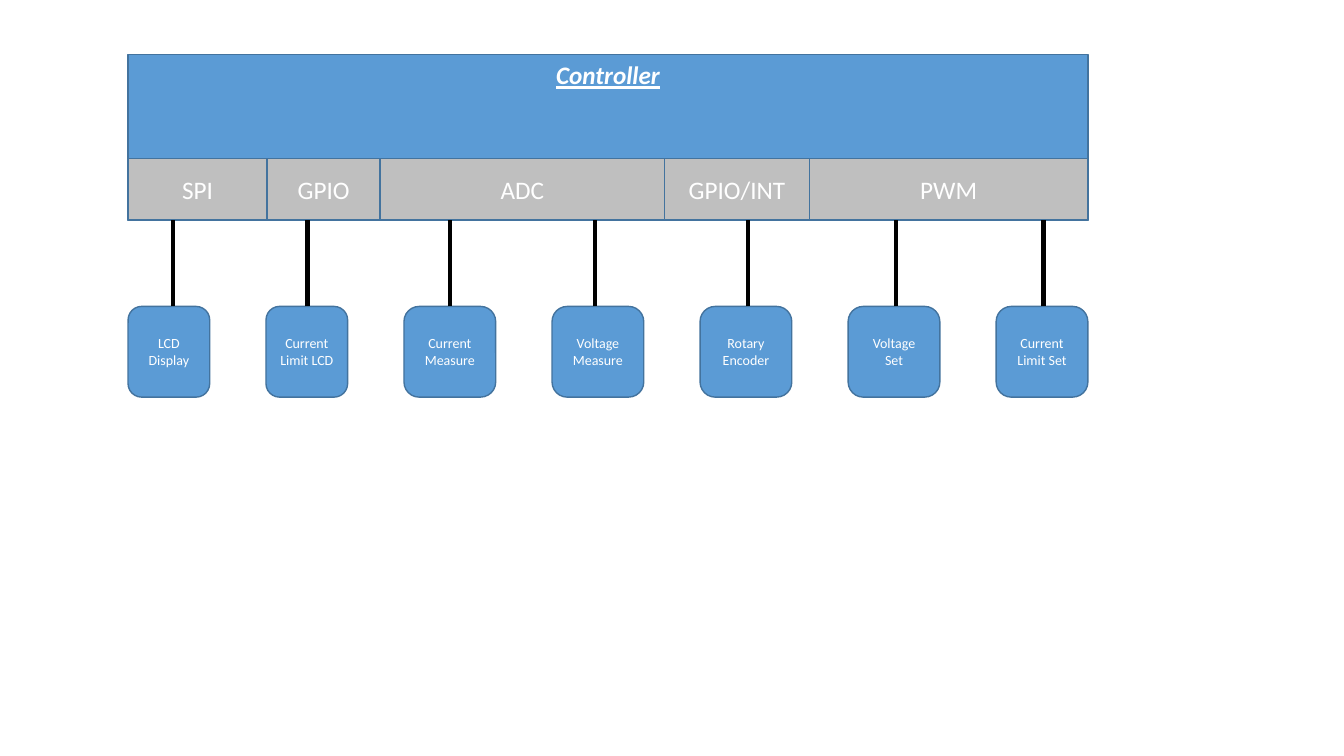
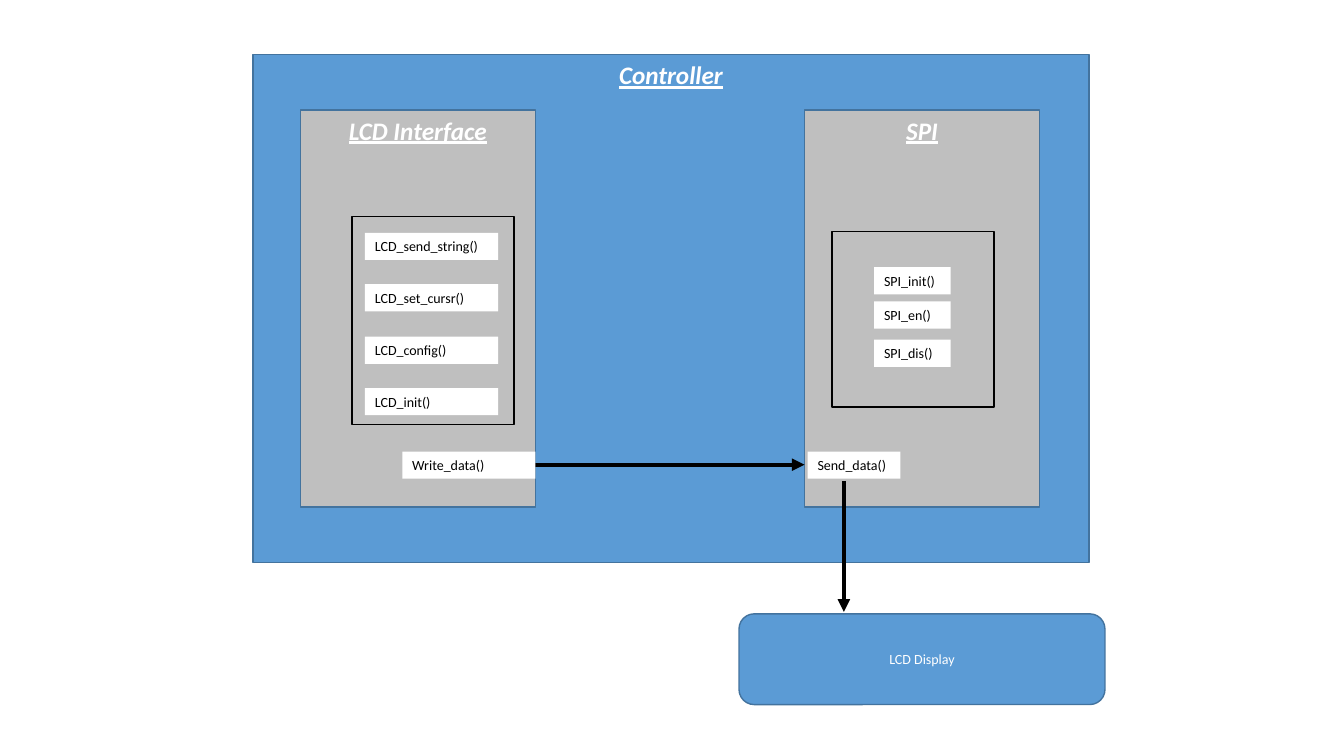
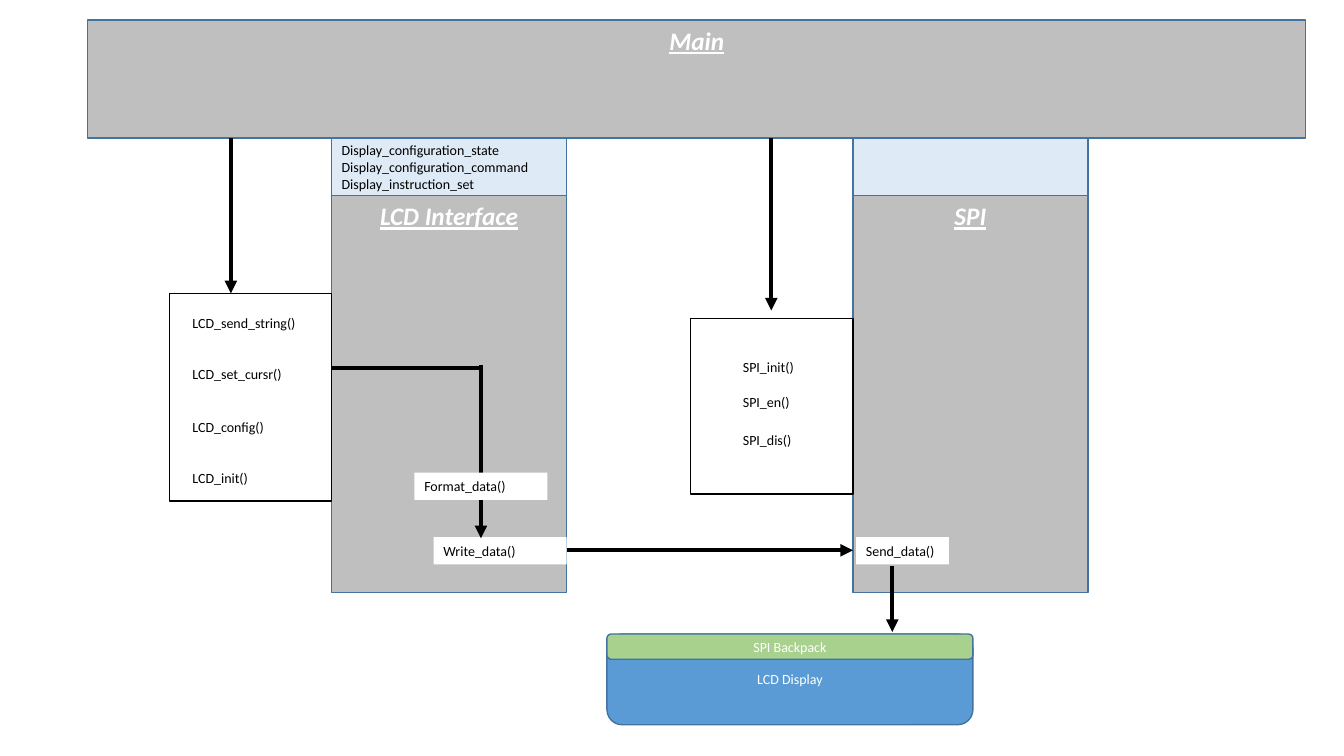
import pptx
import pptx.util
import pptx.dml.color
import pptx.enum.shapes
import pptx.enum.text
import pptx.oxml.ns
import lxml.etree

Inches, Pt = pptx.util.Inches, pptx.util.Pt
Kind = pptx.enum.shapes.MSO_SHAPE
Align, Anchor = pptx.enum.text.PP_ALIGN, pptx.enum.text.MSO_ANCHOR

# Shared style
FONT = "Calibri"
BLUE, EDGE, GRAY = "5B9BD5", "43739E", "BFBFBF"
PALE, GREEN = "DEEBF7", "A9D18E"
WHITE, BLACK = "FFFFFF", "000000"
BIG, SMALL = 18, 10
COL_W, COL_H = 2.33, 3.94
LABEL_H = 0.27

# Content
CHIP = "Controller"
PORTS = [("SPI", 1.38), ("GPIO", 1.12), ("ADC", 2.82),
         ("GPIO/INT", 1.44), ("PWM", 2.76)]
# device name, box width, x of its wire
PARTS = [("LCD Display", 0.81, 1.72), ("Current Limit LCD", 0.81, 3.05),
         ("Current Measure", 0.91, 4.46), ("Voltage Measure", 0.91, 5.9),
         ("Rotary Encoder", 0.91, 7.42), ("Voltage Set", 0.91, 8.89),
         ("Current Limit Set", 0.91, 10.35)]
# panel height, label inset and width, then (call, offset from panel top)
LCD_API = (2.06, 0.13, 1.32, [("LCD_send_string()", 0.16), ("LCD_set_cursr()", 0.67),
                              ("LCD_config()", 1.19), ("LCD_init()", 1.7)])
SPI_API = (1.74, 0.42, 0.76, [("SPI_init()", 0.35), ("SPI_en()", 0.69),
                              ("SPI_dis()", 1.07)])
STATE = ["Display_configuration_state", "Display_configuration_command",
         "Display_instruction_set"]


def color(code):
    """Turn a hex string into a colour."""
    return pptx.dml.color.RGBColor.from_string(code)


def paint(shape, fill, line):
    """Set fill and outline; None means none."""
    if fill:
        shape.fill.solid()
        shape.fill.fore_color.rgb = color(fill)
    else:
        shape.fill.background()
    if line:
        shape.line.color.rgb = color(line)
        shape.line.width = Pt(1)
    else:
        shape.line.fill.background()


def write(shape, lines, size, ink=WHITE, align=Align.CENTER, anchor=Anchor.MIDDLE,
          head=False):
    """Put lines of text in a shape; head makes bold, italic, underlined."""
    frame = shape.text_frame
    frame.word_wrap = True
    frame.auto_size = pptx.enum.text.MSO_AUTO_SIZE.NONE
    frame.vertical_anchor = anchor
    for i, line in enumerate(lines):
        para = frame.add_paragraph() if i else frame.paragraphs[0]
        para.alignment = align
        run = para.add_run()
        run.text = line
        font = run.font
        font.name, font.size, font.color.rgb = FONT, Pt(size), color(ink)
        font.bold = font.italic = font.underline = head


def box(slide, at, fill, line=EDGE, kind=Kind.RECTANGLE):
    """Add a plain shape."""
    shape = slide.shapes.add_shape(kind, *map(Inches, at))
    shape.shadow.inherit = False
    paint(shape, fill, line)
    return shape


def device(slide, at, name, fill=BLUE):
    """Add a rounded box with a small centred name."""
    write(box(slide, at, fill, kind=Kind.ROUNDED_RECTANGLE), [name], SMALL)


def label(slide, x, y, width, call):
    """Add a white tag with a function call."""
    tag = slide.shapes.add_textbox(*map(Inches, (x, y, width, LABEL_H)))
    paint(tag, WHITE, None)
    write(tag, [call], SMALL, BLACK, Align.LEFT, Anchor.TOP)


def wire(slide, x1, y1, x2, y2, arrow=True):
    """Add a thick black line, with an arrowhead at its end if asked."""
    link = slide.shapes.add_connector(pptx.enum.shapes.MSO_CONNECTOR.STRAIGHT,
                                      *map(Inches, (x1, y1, x2, y2)))
    link.line.color.rgb = color(BLACK)
    link.line.width = Pt(3)
    qn = pptx.oxml.ns.qn
    if arrow:
        lxml.etree.SubElement(link.line._get_or_add_ln(), qn("a:tailEnd"), type="triangle")
    lxml.etree.SubElement(link._element.spPr, qn("a:effectLst"))


def start(deck, title, at, fill):
    """Add a slide whose title is a filled block."""
    slide = deck.slides.add_slide(deck.slide_layouts[5])
    block = slide.shapes.title
    block.left, block.top, block.width, block.height = map(Inches, at)
    paint(block, fill, EDGE)
    write(block, [title], BIG, anchor=Anchor.TOP, head=True)
    return slide


def column(slide, x, y, name):
    """Add a gray module column."""
    write(box(slide, (x, y, COL_W, COL_H), GRAY), [name], BIG, anchor=Anchor.TOP, head=True)


def panel(slide, x, y, api):
    """Add an outlined list of calls."""
    height, inset, width, calls = api
    for call, down in calls:
        label(slide, x + inset, y + down, width, call)
    box(slide, (x, y, 1.61, height), None, BLACK)


def modules(slide, lcd, spi, y, end):
    """Add both columns and the data flow down to the display at end."""
    column(slide, spi, y, "SPI")
    column(slide, lcd, y, "LCD Interface")
    wire(slide, lcd + COL_W, y + 3.52, spi, y + 3.52)
    label(slide, spi + 0.03, y + 3.39, 0.92, "Send_data()")
    wire(slide, spi + 0.39, y + 3.68, spi + 0.39, end - 0.02)
    label(slide, lcd + COL_W - 1.32, y + 3.39, 1.32, "Write_data()")


def overview(deck):
    """Chip with its ports and the devices on them."""
    left, width, base, top = 1.27, 9.52, 2.18, 3.04
    slide = start(deck, CHIP, (left, 0.54, width, 1.65), BLUE)
    x = left
    for name, wide in PORTS:
        write(box(slide, (x, 1.57, wide, 0.61), GRAY), [name], BIG)
        x += wide
    gap = (width - sum(wide for _, wide, _ in PARTS)) / (len(PARTS) - 1)
    x = left
    for name, wide, pin in PARTS:
        device(slide, (x, top, wide, 0.9), name)
        wire(slide, pin, top, pin, base, arrow=False)
        x += wide + gap


def chip(deck):
    """Modules inside the chip."""
    slide = start(deck, CHIP, (2.51, 0.54, 8.29, 5.04), BLUE)
    device(slide, (7.33, 6.09, 3.63, 0.9), "LCD Display")
    modules(slide, 2.98, 7.98, 1.09, 6.09)
    panel(slide, 3.49, 2.15, LCD_API)
    panel(slide, 8.25, 2.3, SPI_API)


def calls(deck):
    """Calls from the main program through the modules."""
    lcd, spi, base, top = 3.29, 8.46, 1.37, 6.29
    slide = start(deck, "Main", (0.87, 0.2, 12.08, 1.17), GRAY)
    device(slide, (6.02, top, 3.63, 0.9), "LCD Display")
    device(slide, (6.02, top, 3.63, 0.25), "SPI Backpack", GREEN)
    modules(slide, lcd, spi, 1.94, top)
    panel(slide, lcd - 1.61, 2.91, LCD_API)
    panel(slide, spi - 1.61, 3.16, SPI_API)
    wire(slide, lcd, 3.65, 4.77, 3.65, arrow=False)
    wire(slide, 4.77, 3.62, 4.77, 5.34)
    label(slide, 4.11, 4.69, 1.32, "Format_data()")
    wire(slide, 2.29, base, 2.29, 2.91)
    wire(slide, 7.65, base, 7.65, 3.08)
    for x, lines in ((lcd, STATE), (spi, [])):
        head = box(slide, (x, base, COL_W, 0.57), PALE)
        write(head, lines, SMALL, BLACK, Align.LEFT)


deck = pptx.Presentation()
deck.slide_width, deck.slide_height = Inches(13.33), Inches(7.5)
overview(deck)
chip(deck)
calls(deck)
deck.save("out.pptx")
